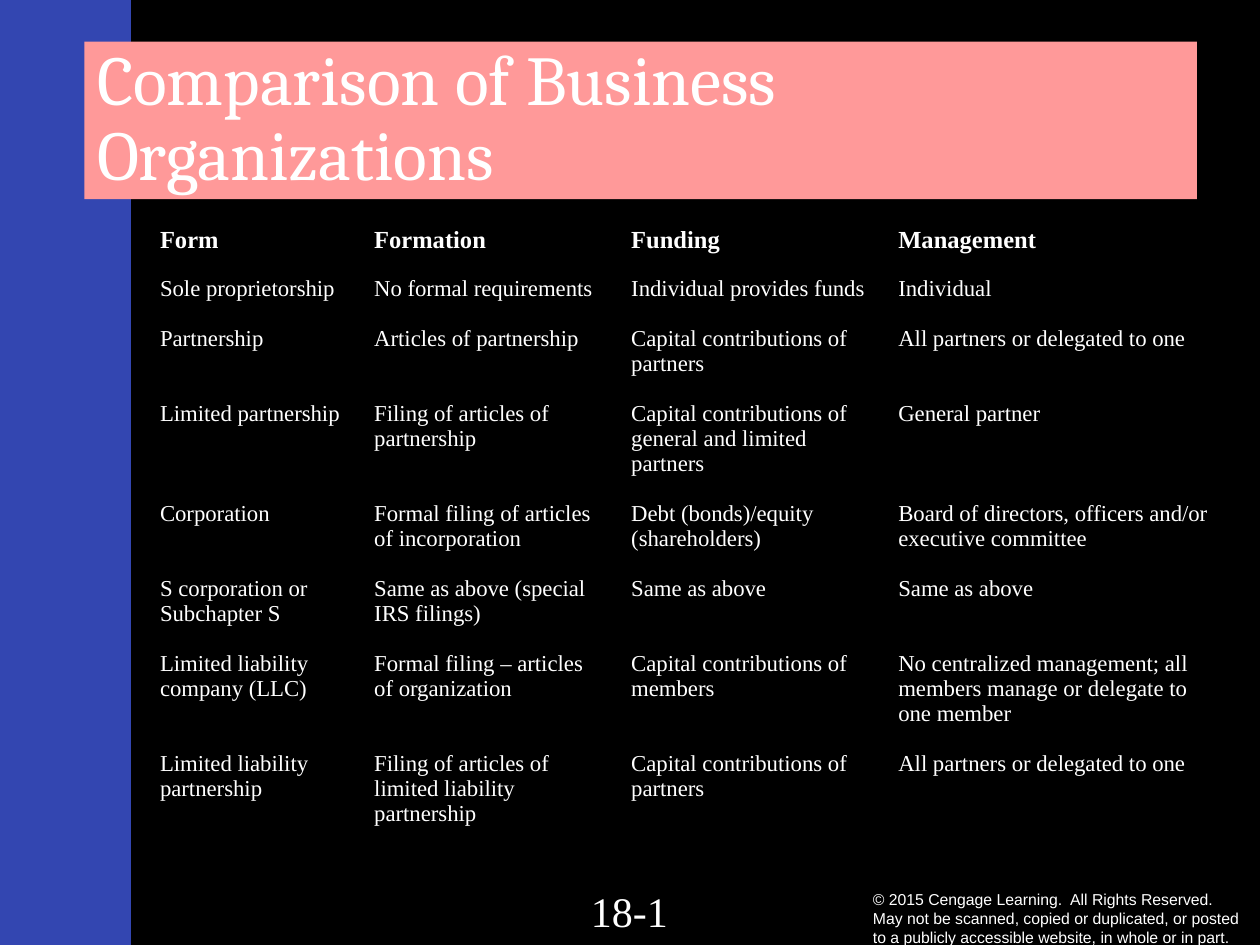
from lxml import etree
from pptx import Presentation
from pptx.dml.color import RGBColor
from pptx.enum import shapes, text
from pptx.oxml.ns import qn
from pptx.util import Inches, Pt

COLORS = {"background": "3346B1", "panel": "000000", "title": "FF9999", "text": "FFFFFF"}
SERIF = "Times New Roman"
LINE_HEIGHT = 14.3  # points, for one line of 13 pt body text

TITLE = "Comparison of Business Organizations"
PAGE = "18-1"
COPYRIGHT = ("© 2015 Cengage Learning.  All Rights Reserved.  May not be scanned, copied or "
             "duplicated, or posted to a publicly accessible website, in whole or in part.")

HEADERS = ["Form", "Formation", "Funding", "Management"]
COLUMN_WIDTHS = [1.7, 2.04, 2.12, 2.72]
ROW_HEIGHTS = [0.39, 5.36]
ORGANIZATIONS = [
    ("Sole proprietorship", "No formal requirements", "Individual provides funds", "Individual"),
    ("Partnership", "Articles of partnership", "Capital contributions of partners",
     "All partners or delegated to one"),
    ("Limited partnership", "Filing of articles of partnership",
     "Capital contributions of general and limited partners", "General partner"),
    ("Corporation", "Formal filing of articles of incorporation",
     "Debt (bonds)/equity (shareholders)",
     "Board of directors, officers and/or executive committee"),
    ("S corporation or Subchapter S", "Same as above (special IRS filings)",
     "Same as above", "Same as above"),
    ("Limited liability company (LLC)", "Formal filing – articles of organization",
     "Capital contributions of members",
     "No centralized management; all members manage or delegate to one member"),
    ("Limited liability partnership", "Filing of articles of limited liability partnership",
     "Capital contributions of partners", "All partners or delegated to one"),
]
# Wrapped lines that each entry above takes up in its column
LINE_COUNTS = [(1, 1, 1, 1), (1, 1, 2, 1), (1, 2, 3, 1), (1, 2, 2, 2),
               (2, 2, 1, 1), (2, 2, 2, 3), (2, 3, 2, 1)]


def color(name):
    return RGBColor.from_string(COLORS[name])


def add_run(paragraph, words, size, font=SERIF, bold=False):
    run = paragraph.add_run()
    run.text = words
    run.font.size = Pt(size)
    run.font.name = font
    run.font.bold = bold
    run.font.color.rgb = color("text")


def add_text(slide, box, words, size, font, align, anchor):
    frame = slide.shapes.add_textbox(*map(Inches, box)).text_frame
    frame.word_wrap = True
    frame.vertical_anchor = anchor
    frame.paragraphs[0].alignment = align
    add_run(frame.paragraphs[0], words, size, font)


def add_panel(slide):
    panel = slide.shapes.add_shape(shapes.MSO_SHAPE.RECTANGLE,
                                   *map(Inches, (1.04, 0, 8.96, 7.5)))
    panel.shadow.inherit = False
    panel.fill.solid()
    panel.fill.fore_color.rgb = color("panel")
    panel.line.fill.background()


def format_title(slide):
    title = slide.shapes.title
    title.left, title.top, title.width, title.height = map(Inches, (0.67, 0.33, 8.83, 1.25))
    title.fill.solid()
    title.fill.fore_color.rgb = color("title")
    frame = title.text_frame
    frame.word_wrap = True
    frame.auto_size = text.MSO_AUTO_SIZE.NONE
    frame.vertical_anchor = text.MSO_ANCHOR.MIDDLE
    paragraph = frame.paragraphs[0]
    paragraph.alignment = text.PP_ALIGN.LEFT
    paragraph.line_spacing = 0.9
    add_run(paragraph, TITLE, 40, "Cambria")
    # Bring the title in front of the panel
    slide.shapes._spTree.append(title._element)


def clear_cell(cell):
    """Remove the cell's fill and all four borders."""
    cell.fill.background()
    properties = cell._tc.get_or_add_tcPr()
    # Borders have to come before the fill
    for index, side in enumerate(("lnL", "lnR", "lnT", "lnB")):
        border = etree.Element(qn(f"a:{side}"), w="0")
        etree.SubElement(border, qn("a:noFill"))
        properties.insert(index, border)


def fill_column(frame, column):
    """Stack one column's entries so that each organization starts level across columns."""
    for row, organization in enumerate(ORGANIZATIONS):
        paragraph = frame.add_paragraph() if row else frame.paragraphs[0]
        if row:
            previous = LINE_COUNTS[row - 1]
            blank_lines = max(previous) + 1 - previous[column]
            paragraph.space_before = Pt(blank_lines * LINE_HEIGHT)
        add_run(paragraph, organization[column], 13)


def add_comparison_table(slide):
    table = slide.shapes.add_table(2, len(HEADERS),
                                   *map(Inches, (1.17, 1.75, 8.58, 5.75))).table
    table.first_row = table.horz_banding = False
    for row, height in zip(table.rows, ROW_HEIGHTS):
        row.height = Inches(height)
    for column, (header, width) in enumerate(zip(HEADERS, COLUMN_WIDTHS)):
        table.columns[column].width = Inches(width)
        heading, body = table.cell(0, column), table.cell(1, column)
        clear_cell(heading)
        clear_cell(body)
        add_run(heading.text_frame.paragraphs[0], header, 14, bold=True)
        fill_column(body.text_frame, column)


def main():
    presentation = Presentation()
    presentation.slide_width, presentation.slide_height = Inches(10), Inches(7.5)
    slide = presentation.slides.add_slide(presentation.slide_layouts[5])
    slide.background.fill.solid()
    slide.background.fill.fore_color.rgb = color("background")
    add_panel(slide)
    add_text(slide, (6.83, 7.01, 3.17, 0.56), COPYRIGHT, 9, "Arial",
             text.PP_ALIGN.LEFT, text.MSO_ANCHOR.MIDDLE)
    add_text(slide, (3.83, 6.98, 2.33, 0.52), PAGE, 24, SERIF,
             text.PP_ALIGN.CENTER, text.MSO_ANCHOR.TOP)
    format_title(slide)
    add_comparison_table(slide)
    presentation.save("out.pptx")


if __name__ == "__main__":
    main()
